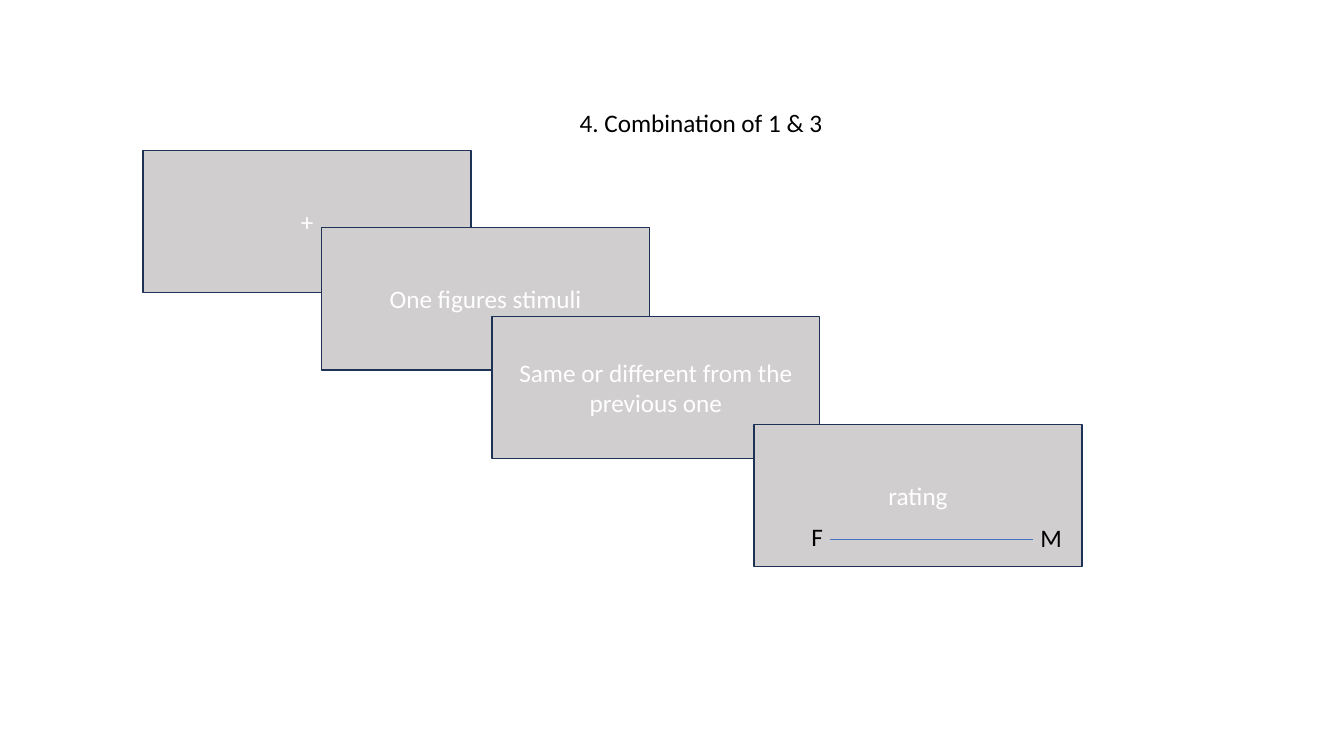
from pptx import Presentation
from pptx.dml.color import RGBColor
from pptx.enum.shapes import MSO_CONNECTOR, MSO_SHAPE
from pptx.enum.text import MSO_ANCHOR, PP_ALIGN
from pptx.util import Inches, Pt
from lxml.etree import SubElement
from pptx.oxml.ns import qn

WHITE = RGBColor(0xFF, 0xFF, 0xFF)
BLACK = RGBColor(0x00, 0x00, 0x00)
SCREEN_GREY = RGBColor(0xD0, 0xCE, 0xCE)
SCREEN_EDGE = RGBColor(0x1E, 0x32, 0x56)
SCALE_BLUE = RGBColor(0x44, 0x72, 0xC4)

SCREEN_WIDTH, SCREEN_HEIGHT = 3.25, 1.41


def write(frame, text, color=BLACK, align=PP_ALIGN.LEFT,
          anchor=MSO_ANCHOR.TOP, size=18, font="Calibri"):
    frame.word_wrap = True
    frame.vertical_anchor = anchor
    paragraph = frame.paragraphs[0]
    paragraph.alignment = align
    run = paragraph.add_run()
    run.text = text
    run.font.name = font
    run.font.size = Pt(size)
    run.font.color.rgb = color


class TrialSlide:
    line_width = Pt(1)

    def __init__(self, slide):
        self.shapes = slide.shapes

    def screen(self, left, top, text):
        """Draw one screen of the trial sequence."""
        screen = self.shapes.add_shape(
            MSO_SHAPE.RECTANGLE, Inches(left), Inches(top),
            Inches(SCREEN_WIDTH), Inches(SCREEN_HEIGHT))
        screen.shadow.inherit = False
        screen.fill.solid()
        screen.fill.fore_color.rgb = SCREEN_GREY
        screen.line.color.rgb = SCREEN_EDGE
        screen.line.width = self.line_width
        write(screen.text_frame, text, color=WHITE,
              align=PP_ALIGN.CENTER, anchor=MSO_ANCHOR.MIDDLE)

    def label(self, left, top, width, height, text):
        label = self.shapes.add_textbox(
            Inches(left), Inches(top), Inches(width), Inches(height))
        write(label.text_frame, text)

    def scale_line(self, start, end, top):
        scale = self.shapes.add_connector(
            MSO_CONNECTOR.STRAIGHT, Inches(start), Inches(top),
            Inches(end), Inches(top))
        scale.line.color.rgb = SCALE_BLUE
        scale.line.width = self.line_width
        SubElement(scale._element.spPr, qn("a:effectLst"))


def main():
    presentation = Presentation()
    presentation.slide_width = Inches(13.33)
    presentation.slide_height = Inches(7.5)
    trial = TrialSlide(
        presentation.slides.add_slide(presentation.slide_layouts[6]))

    for left, top, text in (
        (1.42, 1.49, "+"),
        (3.19, 2.26, "One figures stimuli"),
        (4.88, 3.14, "Same or different from the previous one"),
        (7.48, 4.21, "rating"),
    ):
        trial.screen(left, top, text)

    trial.label(5.65, 1.02, 5.54, 0.71, "4. Combination of 1 & 3")
    trial.scale_line(8.23, 10.25, 5.35)
    trial.label(7.95, 5.12, 0.35, 0.4, "F")
    trial.label(10.22, 5.13, 0.35, 0.4, "M")

    presentation.save("out.pptx")


if __name__ == "__main__":
    main()
